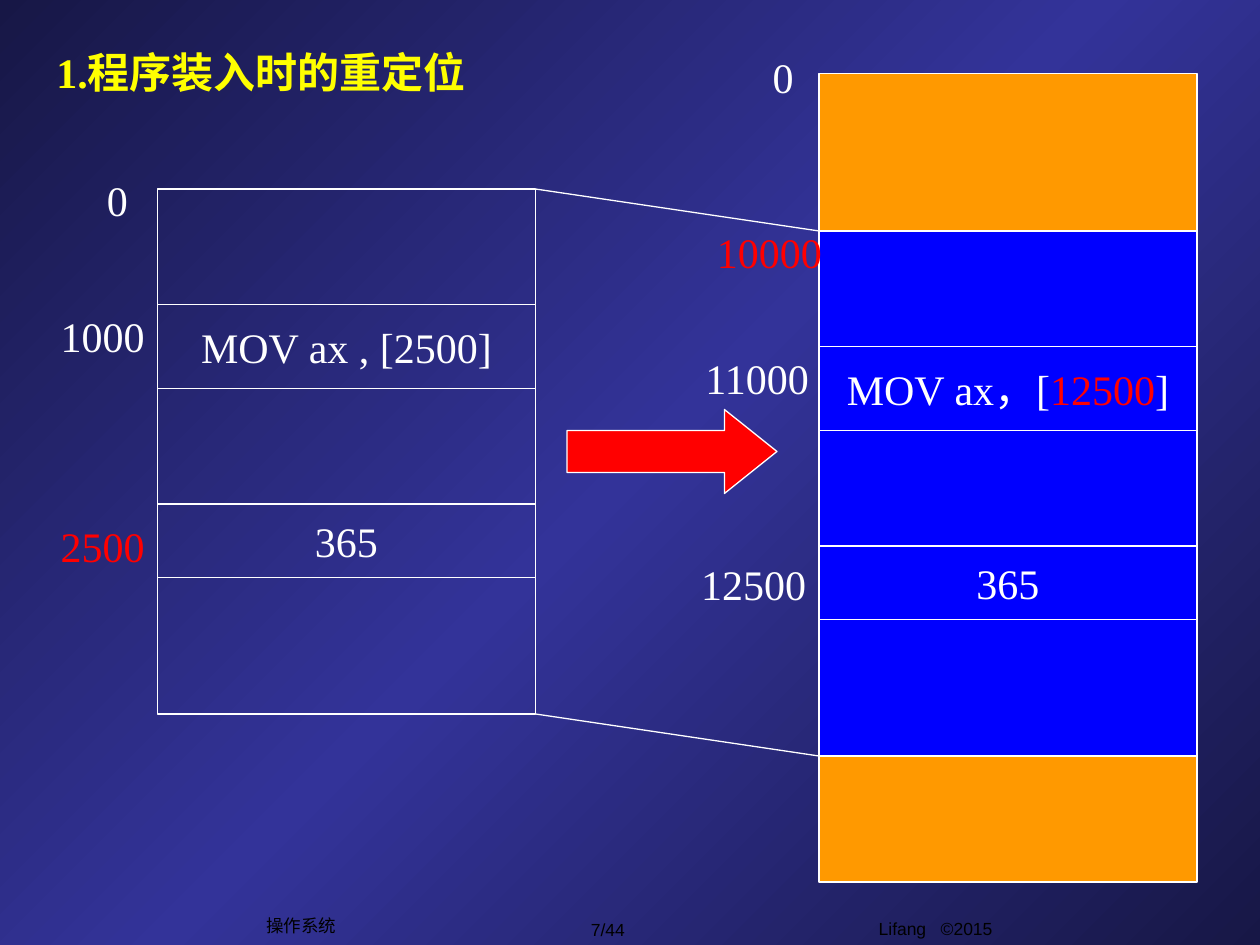
"""Builds the slide on relocating a program as it is loaded."""
from copy import deepcopy
from dataclasses import dataclass
from itertools import accumulate

from lxml import etree
from pptx import Presentation
from pptx.dml.color import RGBColor
from pptx.enum.shapes import MSO_CONNECTOR, MSO_SHAPE
from pptx.enum.text import MSO_ANCHOR, MSO_AUTO_SIZE, PP_ALIGN
from pptx.oxml.ns import qn
from pptx.util import Pt

RECT = MSO_SHAPE.RECTANGLE
ARROW = MSO_SHAPE.RIGHT_ARROW
LINE = MSO_CONNECTOR.STRAIGHT
TOP, MIDDLE = MSO_ANCHOR.TOP, MSO_ANCHOR.MIDDLE
LEFT, CENTER = PP_ALIGN.LEFT, PP_ALIGN.CENTER
GROW = MSO_AUTO_SIZE.SHAPE_TO_FIT_TEXT

SCALE = 7620
WIDTH = 360
ROWS = (110, 80, 110, 70, 130)


@dataclass(frozen=True)
class Theme:
    white: str = "FFFFFF"
    black: str = "000000"
    red: str = "FF0000"
    blue: str = "0000FF"
    orange: str = "FF9900"
    yellow: str = "FFFF00"
    dark: str = "171746"
    light: str = "333399"
    serif: str = "Times New Roman"
    sans: str = "Arial"
    body: int = 24
    small: int = 10
    rule: float = 0.75


THEME = Theme()


def px(*values):
    return [value * SCALE for value in values]


def rgb(code):
    return RGBColor.from_string(code)


def style(run, color, size, face, bold=False):
    font = run.font
    font.name, font.size, font.bold = face, Pt(size), bold
    font.color.rgb = rgb(color)


def paint(slide):
    fill = slide.background.fill
    fill.gradient()
    fill.gradient_angle = 135
    stops = next(slide.element.iter(qn("a:gsLst")))
    stops.append(deepcopy(stops[0]))
    colors = (THEME.dark, THEME.light, THEME.dark)
    for stop, color, place in zip(fill.gradient_stops, colors, (0, 0.5, 1)):
        stop.color.rgb = rgb(color)
        stop.position = place


def edge(line):
    line.color.rgb = rgb(THEME.white)
    line.width = Pt(THEME.rule)


def block(slide, box, fill=None, kind=RECT):
    shape = slide.shapes.add_shape(kind, *px(*box))
    shape.shadow.inherit = False
    if fill:
        shape.fill.solid()
        shape.fill.fore_color.rgb = rgb(fill)
    else:
        shape.fill.background()
    edge(shape.line)
    return shape


def fill_cell(shape, parts):
    frame = shape.text_frame
    frame.word_wrap = False
    frame.vertical_anchor = MIDDLE
    para = frame.paragraphs[0]
    para.alignment = CENTER
    for text, color in parts:
        run = para.add_run()
        run.text = text
        style(run, color, THEME.body, THEME.serif)


def stack(slide, left, top, texts, fill=None):
    tops = accumulate(ROWS, initial=top)
    for row, (y, height) in enumerate(zip(tops, ROWS)):
        shape = block(slide, (left, y, WIDTH, height), fill)
        if row in texts:
            fill_cell(shape, texts[row])


def link(slide, start, end):
    line = slide.shapes.add_connector(LINE, *px(*start, *end))
    edge(line.line)
    etree.SubElement(line.element.spPr, qn("a:effectLst"))


def write(slide, text, box, color, size=THEME.body, face=THEME.serif,
          align=LEFT, anchor=TOP, wrap=False, bold=False):
    frame = slide.shapes.add_textbox(*px(*box)).text_frame
    frame.word_wrap = wrap
    frame.vertical_anchor = anchor
    if not wrap:
        frame.auto_size = GROW
    frame.text = text
    para = frame.paragraphs[0]
    para.alignment = align
    style(para.runs[0], color, size, face, bold)


def label(slide, text, left, top, color=THEME.white):
    write(slide, text, (left, top, 24 + 20 * len(text), 60), color)


def foot(slide, text, box, anchor=MIDDLE, wrap=False):
    write(slide, text, box, THEME.black, THEME.small, THEME.sans,
          CENTER, anchor, wrap)


def main():
    deck = Presentation()
    deck.slide_width, deck.slide_height = px(1200, 900)
    slide = deck.slides.add_slide(deck.slide_layouts[6])
    white, red = THEME.white, THEME.red
    paint(slide)

    foot(slide, "Lifang   ©2015", (701, 868, 380, 42), TOP, True)
    foot(slide, "7/44", (518, 869, 122, 32))
    foot(slide, "操作系统", (242, 865, 90, 32))

    near, far, start, base = 150, 780, 180, 220
    data = [("365", white)]
    stack(slide, near, start, {1: [("MOV ax , [2500]", white)], 3: data})
    block(slide, (far, 70, WIDTH, 770), THEME.orange)
    moved = [("MOV ax，[", white), ("12500", red), ("]", white)]
    stack(slide, far, base, {1: moved, 3: data}, THEME.blue)

    for drop in (0, sum(ROWS)):
        link(slide, (near + WIDTH, start + drop), (far, base + drop))
    arrow = block(slide, (540, 390, 200, 80), red, ARROW)
    arrow.adjustments[0], arrow.adjustments[1] = 0.5, 0.625

    label(slide, "0", 90, 160)
    label(slide, "1000", 46, 290)
    label(slide, "2500", 46, 490, red)
    label(slide, "0", 724, 43)
    label(slide, "10000", 671, 210, red)
    label(slide, "11000", 660, 330)
    label(slide, "12500", 656, 526)

    write(slide, "1.程序装入时的重定位", (42, 34, 1020, 68), THEME.yellow,
          anchor=MIDDLE, wrap=True, bold=True)
    deck.save("out.pptx")


if __name__ == "__main__":
    main()
